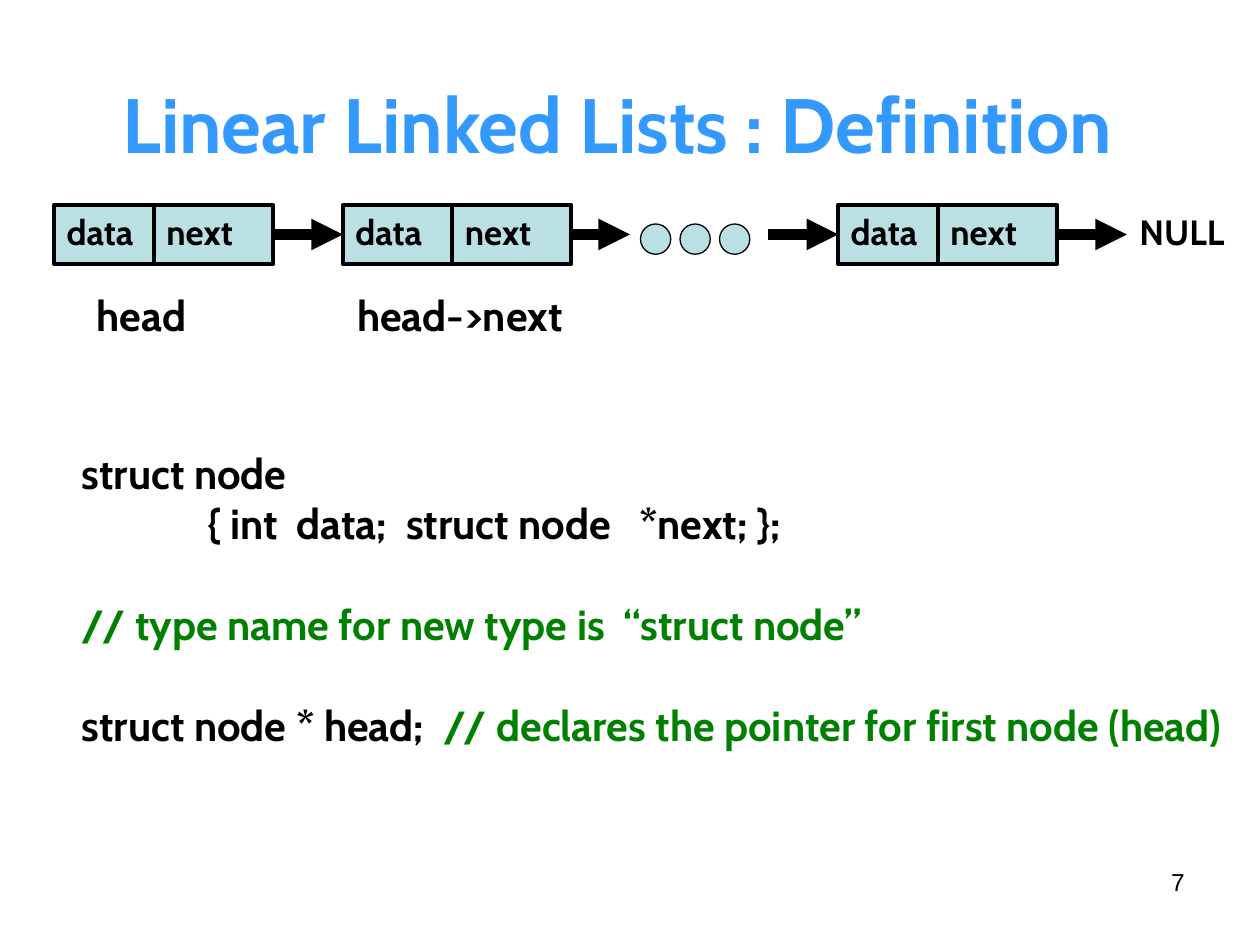
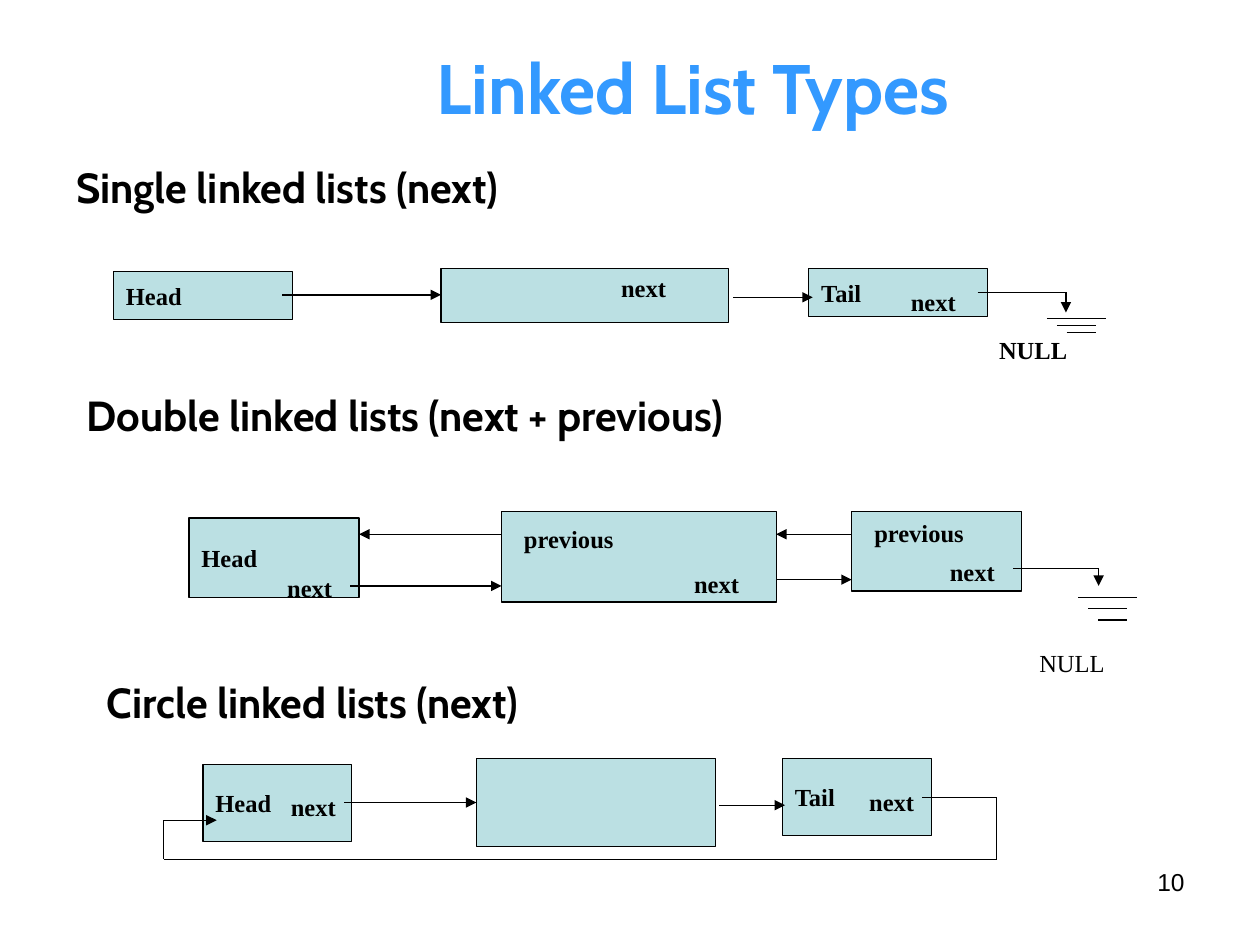
"""Build two slides that explain linear linked lists and their types."""
import dataclasses

import lxml.etree
import pptx
import pptx.dml.color
import pptx.enum.shapes
import pptx.enum.text
import pptx.oxml.ns
import pptx.util

Pt = pptx.util.Pt
Align = pptx.enum.text.PP_ALIGN
Anchor = pptx.enum.text.MSO_ANCHOR
Preset = pptx.enum.shapes.MSO_SHAPE
qualified = pptx.oxml.ns.qn


def color(value):
    return pptx.dml.color.RGBColor.from_string(value)


@dataclasses.dataclass(frozen=True)
class Theme:
    ink: str = "000000"
    title: str = "3399FF"
    comment: str = "008000"
    node: str = "BBE0E3"
    heading_font: str = "Cabin"
    diagram_font: str = "Times New Roman"
    number_font: str = "Arial"
    title_size: float = 44
    small_title_size: float = 40
    body_size: float = 24
    node_size: float = 20
    diagram_size: float = 14
    thin: float = 0.75
    medium: float = 2.25
    thick: float = 6


THEME = Theme()


def add_text(paragraph, text, font=THEME.heading_font, size=THEME.body_size,
             ink=THEME.ink, bold=True, align=Align.LEFT):
    paragraph.alignment = align
    run = paragraph.add_run()
    run.text = text
    run.font.name = font
    run.font.size = Pt(size)
    run.font.bold = bold
    run.font.color.rgb = color(ink)


class Deck:
    def __init__(self, theme):
        self.theme = theme
        self.presentation = pptx.Presentation()
        self.presentation.slide_width = Pt(720)
        self.presentation.slide_height = Pt(540)
        self.slide = None

    def start_slide(self, title, number, left, top, width, height, size):
        layout = self.presentation.slide_layouts[5]
        self.slide = self.presentation.slides.add_slide(layout)
        shape = self.slide.shapes.title
        shape.left, shape.top = Pt(left), Pt(top)
        shape.width, shape.height = Pt(width), Pt(height)
        shape.text_frame.vertical_anchor = Anchor.MIDDLE
        add_text(shape.text_frame.paragraphs[0], title, size=size,
                 ink=self.theme.title, align=Align.CENTER)
        self.text(number, 516, 492, 168, 37.5, font=self.theme.number_font,
                  size=self.theme.diagram_size, bold=False, align=Align.RIGHT)

    def text(self, text, left, top, width, height, **style):
        shape = self.slide.shapes.add_textbox(
            Pt(left), Pt(top), Pt(width), Pt(height))
        shape.text_frame.word_wrap = True
        add_text(shape.text_frame.paragraphs[0], text, **style)
        return shape.text_frame

    def label(self, text, left, top, width, bold=True):
        self.text(text, left, top, width, 24, bold=bold,
                  font=self.theme.diagram_font, size=self.theme.diagram_size)

    def shape(self, left, top, width, height, preset=Preset.RECTANGLE,
              weight=THEME.thin):
        shape = self.slide.shapes.add_shape(
            preset, Pt(left), Pt(top), Pt(width), Pt(height))
        shape.shadow.inherit = False
        shape.fill.solid()
        shape.fill.fore_color.rgb = color(self.theme.node)
        shape.line.color.rgb = color(self.theme.ink)
        shape.line.width = Pt(weight)
        return shape.text_frame

    def box(self, left, top, width, height, text):
        frame = self.shape(left, top, width, height)
        frame.vertical_anchor = Anchor.MIDDLE
        add_text(frame.paragraphs[0], text, font=self.theme.diagram_font,
                 size=self.theme.diagram_size)

    def node(self, left, top, data_width, next_width, height):
        fields = (("data", left, data_width),
                  ("next", left + data_width, next_width))
        for name, field_left, width in fields:
            frame = self.shape(field_left, top, width, height,
                               weight=self.theme.medium)
            frame.vertical_anchor = Anchor.TOP
            add_text(frame.paragraphs[0], name, size=self.theme.node_size)

    def line(self, start, end, arrow=False, weight=THEME.thin):
        connector = self.slide.shapes.add_connector(
            pptx.enum.shapes.MSO_CONNECTOR.STRAIGHT,
            Pt(start[0]), Pt(start[1]), Pt(end[0]), Pt(end[1]))
        connector.line.color.rgb = color(self.theme.ink)
        connector.line.width = Pt(weight)
        properties = connector.element.spPr
        if arrow:
            outline = properties.find(qualified("a:ln"))
            lxml.etree.SubElement(outline, qualified("a:tailEnd"), type="triangle")
        lxml.etree.SubElement(properties, qualified("a:effectLst"))

    def arrow(self, start_x, end_x, y, weight=THEME.thin):
        self.line((start_x, y), (end_x, y), arrow=True, weight=weight)

    def route(self, *points):
        for start, end in zip(points, points[1:]):
            self.line(start, end, arrow=end is points[-1])

    def ground(self, left, top, gap):
        for index in range(3):
            y = top + index * gap
            right = left + 33.5 - 5.6 * min(index, 1)
            self.line((left + 5.6 * index, y), (right, y))


def build_definition(deck):
    theme = deck.theme
    deck.start_slide("Linear Linked Lists : Definition", "7",
                     48, 25, 610, 90, theme.title_size)

    frame = deck.text("struct node", 39.6, 213, 680.4, 247)
    frame.margin_top = Pt(42.5)
    members = frame.add_paragraph()
    add_text(members, "{ int  data;  struct node   *next; };")
    members._p.get_or_add_pPr().set("marL", str(Pt(72)))
    members._p.get_or_add_pPr().set("indent", "0")
    note = frame.add_paragraph()
    add_text(note, "// type name for new type is  “struct node”", ink=theme.comment)
    declaration = frame.add_paragraph()
    add_text(declaration, "struct node * head;  ")
    add_text(declaration, "// declares the pointer for first node (head)",
             ink=theme.comment)
    for paragraph in (note, declaration):
        paragraph.space_before = Pt(28.8)

    for left, data_width in ((31, 57), (196, 62.5), (479, 57)):
        deck.node(left, 117, data_width, 68, 34)
    for start_x, end_x in ((156, 196), (326, 360), (439, 479), (604, 644)):
        deck.arrow(start_x, end_x, 134, weight=theme.thick)
    for index in range(3):
        deck.shape(366 + 22.6 * index, 128, 17.3, 17.3, Preset.OVAL)
    deck.text("NULL", 644, 117, 65, 31, size=theme.node_size)

    names = deck.text("head\thead->next", 48, 162, 329, 36).paragraphs[0]
    stops = lxml.etree.SubElement(names._p.get_or_add_pPr(), qualified("a:tabLst"))
    lxml.etree.SubElement(stops, qualified("a:tab"), pos=str(Pt(149)), algn="l")


def build_single_list(deck):
    deck.text("Single linked lists (next)", 36.7, 88.5, 648, 39.6)
    deck.shape(252, 153.4, 164.2, 31)
    deck.box(64.8, 155, 102.2, 27.4, "Head")
    deck.box(462.2, 153.4, 102.2, 27.4, "Tail")
    deck.label("next", 347.8, 152.6, 74)
    deck.label("next", 513.4, 160.6, 50.4)
    deck.label("NULL", 563.8, 188, 90.7)
    deck.arrow(161.3, 252, 168.5)
    deck.arrow(419, 464.4, 169.9)
    deck.route((558.7, 167), (609.1, 167), (609.1, 178.6))
    deck.ground(598.3, 182.2, 4)


def build_double_list(deck):
    deck.text("Double linked lists (next + previous)", 42.5, 219, 629, 36)
    deck.shape(286.6, 292.3, 157, 51.8)
    deck.box(108, 296, 97.2, 45.4, "Head")
    deck.shape(486.7, 292.3, 97.2, 45.4)
    for left, top in ((157, 324), (389.5, 321.8), (535.7, 314.6)):
        deck.label("next", left, top, 48.6)
    deck.label("previous", 292.3, 296, 92.2)
    deck.label("previous", 492.5, 292.3, 70.6)
    deck.arrow(200.2, 286.6, 334.8)
    deck.arrow(443.5, 486.7, 331.2)
    deck.arrow(486.7, 443.5, 305.3)
    deck.arrow(286.6, 205.2, 305.3)
    deck.route((578.9, 324.7), (627.8, 324.7), (627.8, 334.8))
    deck.ground(616.3, 341.3, 6.5)
    deck.label("NULL", 586.8, 366.5, 77.8, bold=False)


def build_circle_list(deck):
    deck.text("Circle linked lists (next)", 54, 383, 571.7, 36)
    deck.shape(272.2, 433.4, 136.8, 50.4)
    deck.box(116, 437, 85, 43.9, "Head")
    deck.box(447.1, 433.4, 85, 43.9, "Tail")
    deck.label("next", 159.1, 449.3, 42.5)
    deck.label("next", 489.6, 446.4, 42.5)
    deck.arrow(196.6, 272.2, 458.6)
    deck.arrow(411.1, 448.6, 460.1)
    deck.route((527, 455.8), (569.5, 455.8), (569.5, 491), (93.6, 491),
               (93.6, 468.7), (123.8, 468.7))


def build_types(deck):
    deck.start_slide("Linked List Types", "10", 72, 26, 648, 46.8,
                     deck.theme.small_title_size)
    build_single_list(deck)
    build_double_list(deck)
    build_circle_list(deck)


deck = Deck(THEME)
build_definition(deck)
build_types(deck)
deck.presentation.save("out.pptx")
